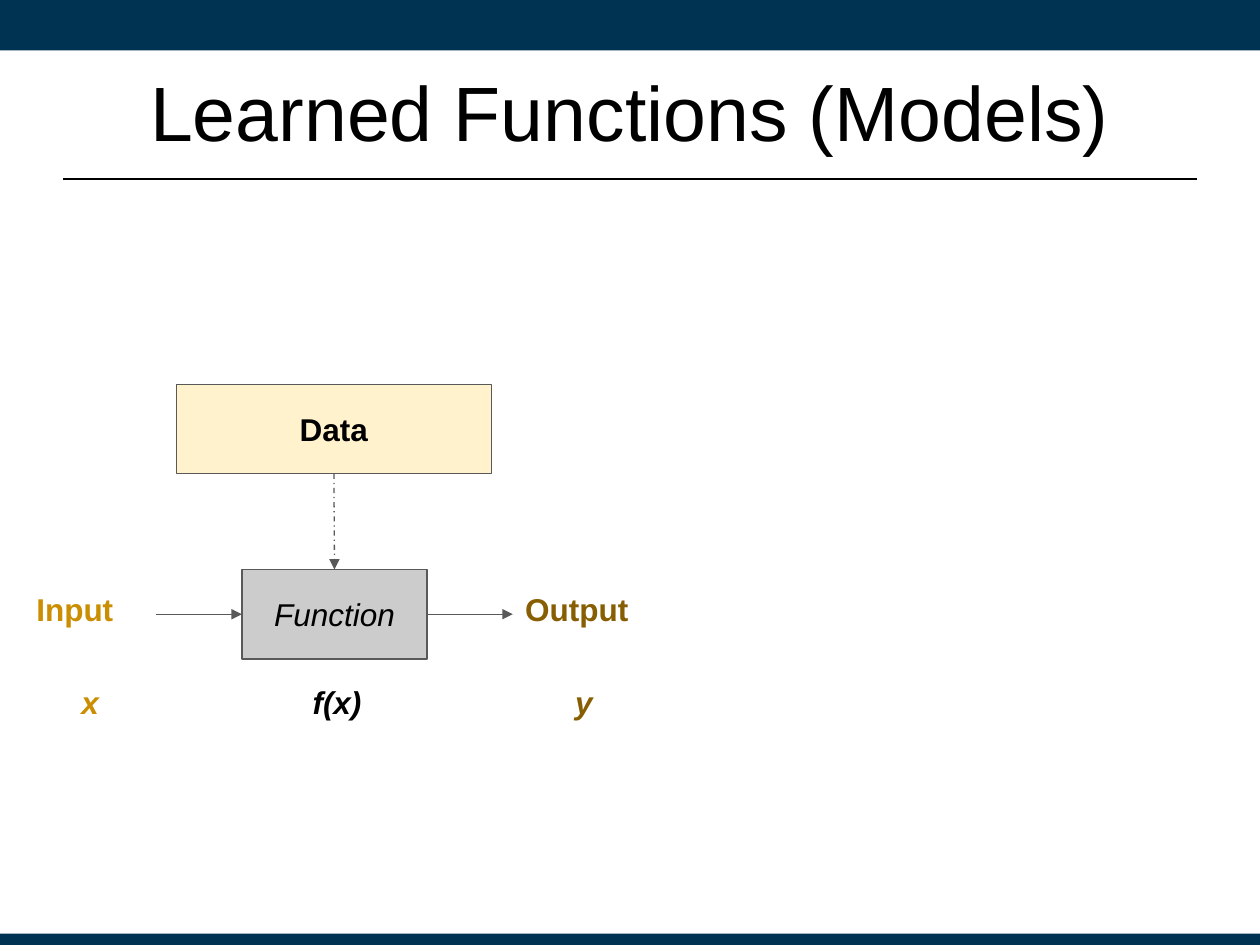
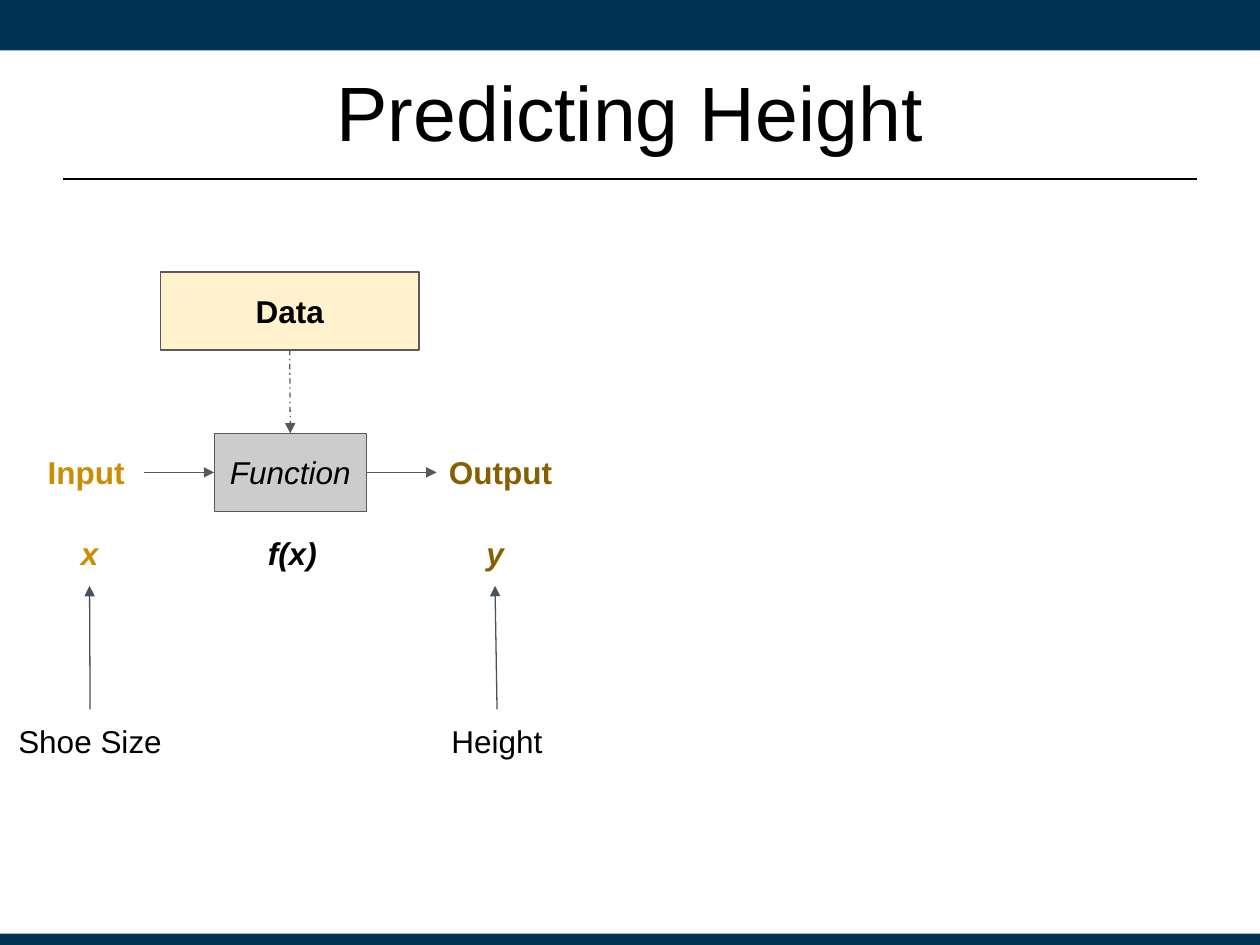
from pptx import Presentation
from pptx import util as u
from pptx.dml.color import RGBColor
from pptx.enum import dml, shapes, text
from pptx.oxml import xmlchemy

NAVY = RGBColor(0x00, 0x32, 0x52)
BLACK = RGBColor(0x00, 0x00, 0x00)
GRAY = RGBColor(0xCC, 0xCC, 0xCC)
CREAM = RGBColor(0xFF, 0xF2, 0xCC)
EDGE = RGBColor(0x59, 0x59, 0x59)
SLATE = RGBColor(0x46, 0x53, 0x5E)
GOLD = RGBColor(0xCB, 0x8D, 0x01)
BROWN = RGBColor(0x87, 0x5E, 0x01)

FONT = "Arial"
PAGE_WIDTH, PAGE_HEIGHT = 10, 7.5
# The diagram is laid out on this grid and scaled to the box it is given
GRID_WIDTH, GRID_HEIGHT = 4.97, 2.86
TOP, BOTTOM, LEFT, RIGHT = 0, 2, 1, 3
BODY = {"size": u.Pt(18), "name": FONT}


def write(box, words, color=BLACK, align=text.PP_ALIGN.CENTER,
          anchor=text.MSO_ANCHOR.TOP, inset=0.1, **style):
    frame = box.text_frame
    settings = {"word_wrap": True, "vertical_anchor": anchor,
                "margin_left": u.Inches(0.1), "margin_right": u.Inches(0.1),
                "margin_top": u.Inches(inset), "margin_bottom": u.Inches(inset)}
    for key, value in settings.items():
        setattr(frame, key, value)
    para = frame.paragraphs[0]
    para.alignment = align
    span = para.add_run()
    span.text = words
    for key, value in {**BODY, **style}.items():
        setattr(span.font, key, value)
    span.font.color.rgb = color


def add_label(page, area, words, **style):
    box = page.shapes.add_textbox(*map(u.Inches, area))
    write(box, words, **style)
    return box


def add_block(page, area, fill, edge=None):
    box = page.shapes.add_shape(shapes.MSO_SHAPE.RECTANGLE, *map(u.Inches, area))
    box.shadow.inherit = False
    box.fill.solid()
    box.fill.fore_color.rgb = fill
    if edge is None:
        box.line.fill.background()
    else:
        box.line.color.rgb = edge
        box.line.width = u.Pt(0.75)
    return box


def add_line(page, ends, color, width):
    line = page.shapes.add_connector(shapes.MSO_CONNECTOR.STRAIGHT, *map(u.Inches, ends))
    line.line.color.rgb = color
    line.line.width = u.Pt(width)
    properties = line._element.spPr
    properties.append(xmlchemy.OxmlElement("a:effectLst"))
    return line


def add_arrow(page, start, start_side, end, end_side, color=EDGE, dash=None):
    arrow = add_line(page, (0, 0, 0, 0), color, 0.75)
    arrow.begin_connect(start, start_side)
    arrow.end_connect(end, end_side)
    if dash is not None:
        arrow.line.dash_style = dash
    head = xmlchemy.OxmlElement("a:tailEnd")
    head.set("type", "triangle")
    arrow.line._get_or_add_ln().append(head)


def add_page(deck, title):
    """Blank page with the shared bands, title and rule."""
    page = deck.slides.add_slide(deck.slide_layouts[6])
    for top, height in ((0, 0.4), (7.41, 0.09)):
        add_block(page, (0, top, PAGE_WIDTH, height), NAVY)
    add_line(page, (0.5, 1.42, 9.5, 1.42), BLACK, 1.25)
    add_label(page, (0.5, 0.25, 9, 1.25), title, size=u.Pt(44),
              anchor=text.MSO_ANCHOR.MIDDLE, inset=0.05)
    return page


def add_model(page, left, top, width, height):
    """Input -> Function -> Output, fed by Data; returns the x and y labels."""
    across, down = width / GRID_WIDTH, height / GRID_HEIGHT

    def place(x, y, w, h):
        return left + x * across, top + y * down, w * across, h * down

    # Blocks
    middle = text.MSO_ANCHOR.MIDDLE
    function = add_block(page, place(1.73, 1.47, 1.47, 0.71), GRAY, EDGE)
    write(function, "Function", anchor=middle, italic=True)
    data = add_block(page, place(1.21, 0, 2.5, 0.71), CREAM, EDGE)
    write(data, "Data", anchor=middle, bold=True)

    # Ends of the flow; the output label keeps its width so it stays on one line
    start = text.PP_ALIGN.LEFT
    source = add_label(page, place(0, 1.53, 1.05, 0.59), "Input",
                       color=GOLD, align=start, bold=True)
    result_area = place(3.88, 1.53, 1.23, 0.59)
    result = add_label(page, (*result_area[:2], 1.2, result_area[3]), "Output",
                       color=BROWN, align=start, bold=True)

    # Symbols at an equal pitch
    symbols = []
    for column, (words, color) in enumerate((("x", GOLD), ("f(x)", BLACK), ("y", BROWN))):
        area = place(column * 1.96, 2.27, 1.05, 0.59)
        symbols.append(add_label(page, area, words, color=color, bold=True, italic=True))

    # Arrows
    add_arrow(page, source, RIGHT, function, LEFT)
    add_arrow(page, function, RIGHT, result, LEFT)
    add_arrow(page, data, BOTTOM, function, TOP, dash=dml.MSO_LINE.DASH_DOT)
    return symbols[0], symbols[2]


def add_examples(page, top, examples):
    """Plain labels that point up at the symbols they stand for."""
    for words, left, width, symbol in examples:
        label = add_label(page, (left, top, width, 0.43), words)
        add_arrow(page, label, TOP, symbol, BOTTOM, SLATE)


def main():
    deck = Presentation()
    deck.slide_width = u.Inches(PAGE_WIDTH)
    deck.slide_height = u.Inches(PAGE_HEIGHT)

    page = add_page(deck, "Learned Functions (Models)")
    add_model(page, 0.19, 3.05, GRID_WIDTH, GRID_HEIGHT)

    page = add_page(deck, "Predicting Height")
    x_label, y_label = add_model(page, 0.28, 2.16, 4.08, 2.49)
    add_examples(page, 5.63, (("Shoe Size", 0, 1.43, x_label),
                              ("Height", 3.41, 1.07, y_label)))

    deck.save("out.pptx")


if __name__ == "__main__":
    main()
